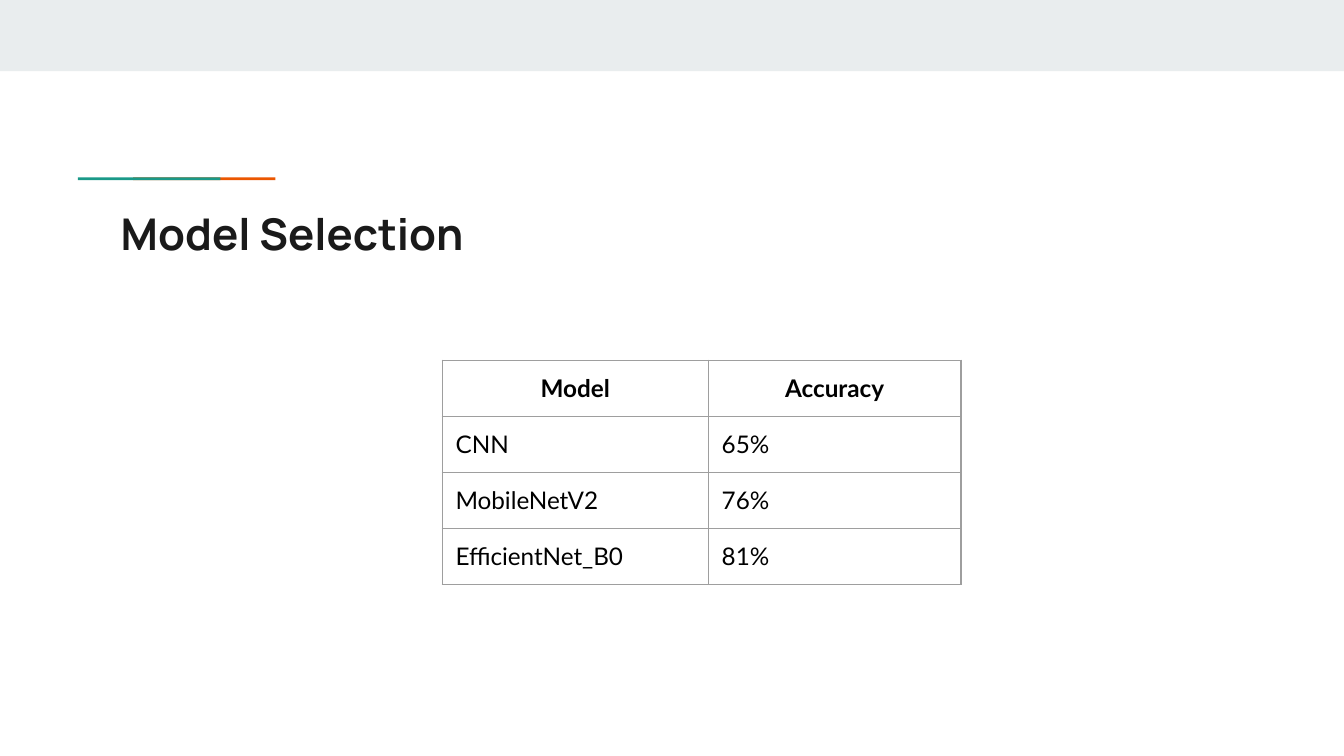
from lxml.etree import SubElement
from pptx import Presentation
from pptx.dml.color import RGBColor
from pptx.enum.shapes import MSO_SHAPE as Shape
from pptx.enum.text import MSO_ANCHOR as Anchor, PP_ALIGN as Align
from pptx.oxml.ns import qn
from pptx.util import Inches, Pt

# Content
TITLE = "Model Selection"
ROWS = [
    ("Model", "Accuracy"),
    ("CNN", "65%"),
    ("MobileNetV2", "76%"),
    ("EfficientNet_B0", "81%"),
]

COLORS = {
    "band": "E9EDEE",
    "orange": "EB5600",
    "green": "1A9988",
    "title": "1A1A1A",
    "text": "000000",
    "border": "9E9E9E",
}

# Left, top, width, height; the green bar overlaps the orange one
BARS = [
    ("band", 0, 0, 10, 0.53),
    ("orange", 0.99, 1.32, 1.06, 0.02),
    ("green", 0.58, 1.32, 1.06, 0.02),
]
TABLE_LEFT, TABLE_TOP, TABLE_HEIGHT = 3.29, 2.68, 1.67
COLUMN_WIDTHS = [1.98, 1.88]
INSET = Inches(0.1)


def color(name):
    return RGBColor.from_string(COLORS[name])


def add_bar(slide, name, *box):
    shape = slide.shapes.add_shape(Shape.RECTANGLE, *map(Inches, box))
    shape.shadow.inherit = False
    shape.fill.solid()
    shape.fill.fore_color.rgb = color(name)
    shape.line.fill.background()


def write(frame, text, font="Lato", size=13, bold=False, ink="text", align=Align.LEFT):
    frame.word_wrap = True
    paragraph = frame.paragraphs[0]
    paragraph.alignment = align
    run = paragraph.add_run()
    run.text = text
    run.font.name = font
    run.font.size = Pt(size)
    run.font.bold = bold
    run.font.color.rgb = color(ink)


def set_inset(box):
    box.margin_left = box.margin_right = INSET
    box.margin_top = box.margin_bottom = INSET
    box.vertical_anchor = Anchor.TOP


def style_cell(cell):
    set_inset(cell)
    properties = cell._tc.get_or_add_tcPr()
    for side in ("a:lnL", "a:lnR", "a:lnT", "a:lnB"):
        line = SubElement(properties, qn(side), w=str(Pt(0.75)))
        fill = SubElement(line, qn("a:solidFill"))
        SubElement(fill, qn("a:srgbClr"), val=COLORS["border"])
    cell.fill.background()


# Widescreen slide, 16:9
presentation = Presentation()
presentation.slide_width = Inches(10)
presentation.slide_height = Inches(10) * 9 // 16
slide = presentation.slides.add_slide(presentation.slide_layouts[6])

# Top band and accent bars
for bar in BARS:
    add_bar(slide, *bar)

# Title
title = slide.shapes.add_textbox(*map(Inches, (0.8, 1.44, 8.41, 0.59)))
set_inset(title.text_frame)
write(title.text_frame, TITLE, font="Manrope", size=23.4, bold=True, ink="title")

# Accuracy table
table = slide.shapes.add_table(
    len(ROWS), len(COLUMN_WIDTHS), Inches(TABLE_LEFT), Inches(TABLE_TOP),
    Inches(sum(COLUMN_WIDTHS)), Inches(TABLE_HEIGHT)).table
table.first_row = table.horz_banding = False
for column, width in zip(table.columns, COLUMN_WIDTHS):
    column.width = Inches(width)
for row_index, values in enumerate(ROWS):
    table.rows[row_index].height = Inches(TABLE_HEIGHT / len(ROWS))
    header = row_index == 0
    for column_index, value in enumerate(values):
        cell = table.cell(row_index, column_index)
        style_cell(cell)
        write(cell.text_frame, value, bold=header,
              align=Align.CENTER if header else Align.LEFT)

presentation.save("out.pptx")
